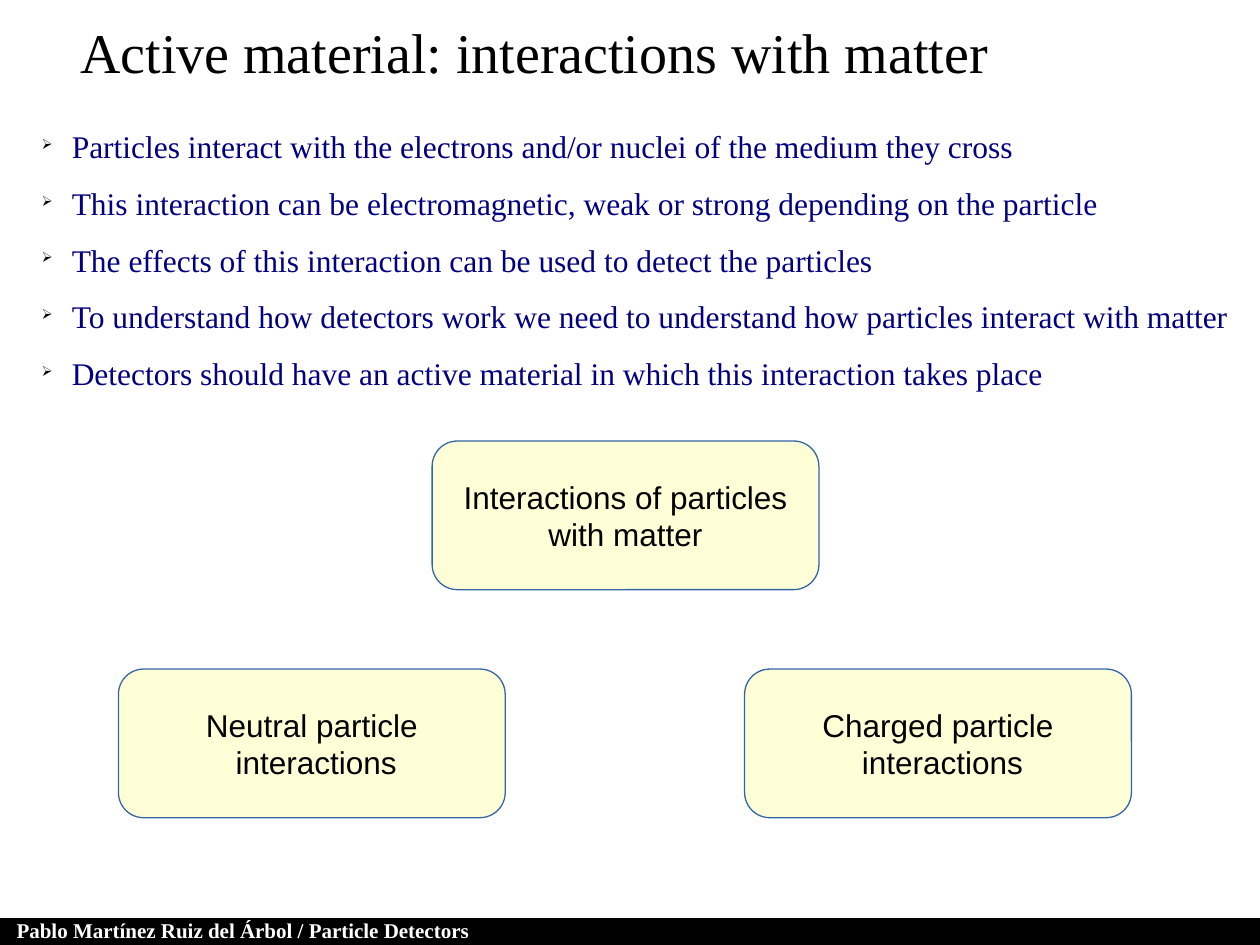
"""Build the slide on how particles interact with matter."""
from dataclasses import dataclass

from lxml.etree import SubElement
from pptx import Presentation
from pptx.dml.color import RGBColor
from pptx.enum.shapes import MSO_SHAPE as Shape
from pptx.enum.text import MSO_ANCHOR as Anchor, MSO_AUTO_SIZE as Fit, PP_ALIGN as Align
from pptx.oxml.ns import qn
from pptx.util import Inches, Pt

SERIF, SANS = "Times New Roman", "Arial"
BLACK, WHITE, NAVY = "000000", "FFFFFF", "000080"
CREAM, BLUE = "FFFFD7", "3465A4"
WIDE, HIGH = 3.07, 1.18

POINTS = (
    "Particles interact with the electrons and/or nuclei of the medium they cross",
    "This interaction can be electromagnetic, weak or strong depending on the particle",
    "The effects of this interaction can be used to detect the particles",
    "To understand how detectors work we need to understand how particles interact with matter",
    "Detectors should have an active material in which this interaction takes place",
)


@dataclass
class Style:
    size: float
    face: str
    color: str
    bold: bool = False
    align: Align = Align.CENTER


@dataclass
class Node:
    left: float
    top: float
    lines: tuple[str, ...]


NODES = (
    Node(0.94, 5.31, ("Neutral particle", " interactions")),
    Node(5.91, 5.31, ("Charged particle", " interactions")),
    Node(3.43, 3.5, ("Interactions of particles", "with matter")),
)


def paint(target, color: str) -> None:
    target.rgb = RGBColor.from_string(color)


def write(frame, lines: tuple[str, ...], style: Style, wrap: bool = True,
          anchor: Anchor = Anchor.TOP, pad: tuple[float, float] = (0.1, 0.05),
          mark: str = "") -> None:
    frame.auto_size = Fit.NONE
    frame.word_wrap = wrap
    frame.vertical_anchor = anchor
    frame.margin_left = frame.margin_right = Inches(pad[0])
    frame.margin_top = frame.margin_bottom = Inches(pad[1])
    frame.text = "\n".join(lines)
    for para in frame.paragraphs:
        para.alignment = style.align
        if mark:
            add_mark(para, mark)
        font = para.font
        font.size, font.name, font.bold = Pt(style.size), style.face, style.bold
        paint(font.color, style.color)


def add_mark(para, mark: str) -> None:
    para.line_spacing = 1.5
    props = para._p.get_or_add_pPr()
    indent = Inches(0.24)
    props.set("marL", str(indent))
    props.set("indent", str(-indent))
    tint = SubElement(props, qn("a:buClr"))
    SubElement(tint, qn("a:srgbClr"), val=BLACK)
    SubElement(props, qn("a:buSzPct"), val="45000")
    SubElement(props, qn("a:buChar"), char=mark)


def add_block(slide, kind: Shape, box: tuple[float, ...], fill: str, line: str):
    block = slide.shapes.add_shape(kind, *map(Inches, box))
    block.shadow.inherit = False
    block.fill.solid()
    paint(block.fill.fore_color, fill)
    paint(block.line.color, line)
    block.line.width = Pt(0.75)
    return block


def add_text(slide, box: tuple[float, ...]):
    return slide.shapes.add_textbox(*map(Inches, box)).text_frame


def add_node(slide, node: Node) -> None:
    box = (node.left, node.top, WIDE, HIGH)
    block = add_block(slide, Shape.ROUNDED_RECTANGLE, box, CREAM, BLUE)
    block.adjustments[0] = 0.17
    write(block.text_frame, node.lines, Style(18, SANS, BLACK),
          wrap=False, anchor=Anchor.MIDDLE)


def main() -> None:
    deck = Presentation()
    deck.slide_width, deck.slide_height = Inches(10), Inches(7.5)
    slide = deck.slides.add_slide(deck.slide_layouts[5])
    slide.background.fill.solid()
    paint(slide.background.fill.fore_color, WHITE)

    add_block(slide, Shape.RECTANGLE, (0, 7.29, 10, 0.22), BLACK, BLACK)
    write(add_text(slide, (-0.04, 7.23, 3.94, 0.37)),
          ("Pablo Martínez Ruiz del Árbol / Particle Detectors",),
          Style(12, SERIF, WHITE, bold=True))

    title = slide.shapes.title
    title.left, title.top, title.width, title.height = map(
        Inches, (0.07, 0.09, 8.35, 0.71))
    write(title.text_frame, ("Active material: interactions with matter",),
          Style(32, SERIF, BLACK))

    write(add_text(slide, (0.2, 0.78, 10.1, 4.94)), POINTS,
          Style(18, SERIF, NAVY, align=Align.LEFT), pad=(0.13, 0.08), mark="➢")

    for node in NODES:
        add_node(slide, node)
    deck.save("out.pptx")


if __name__ == "__main__":
    main()
